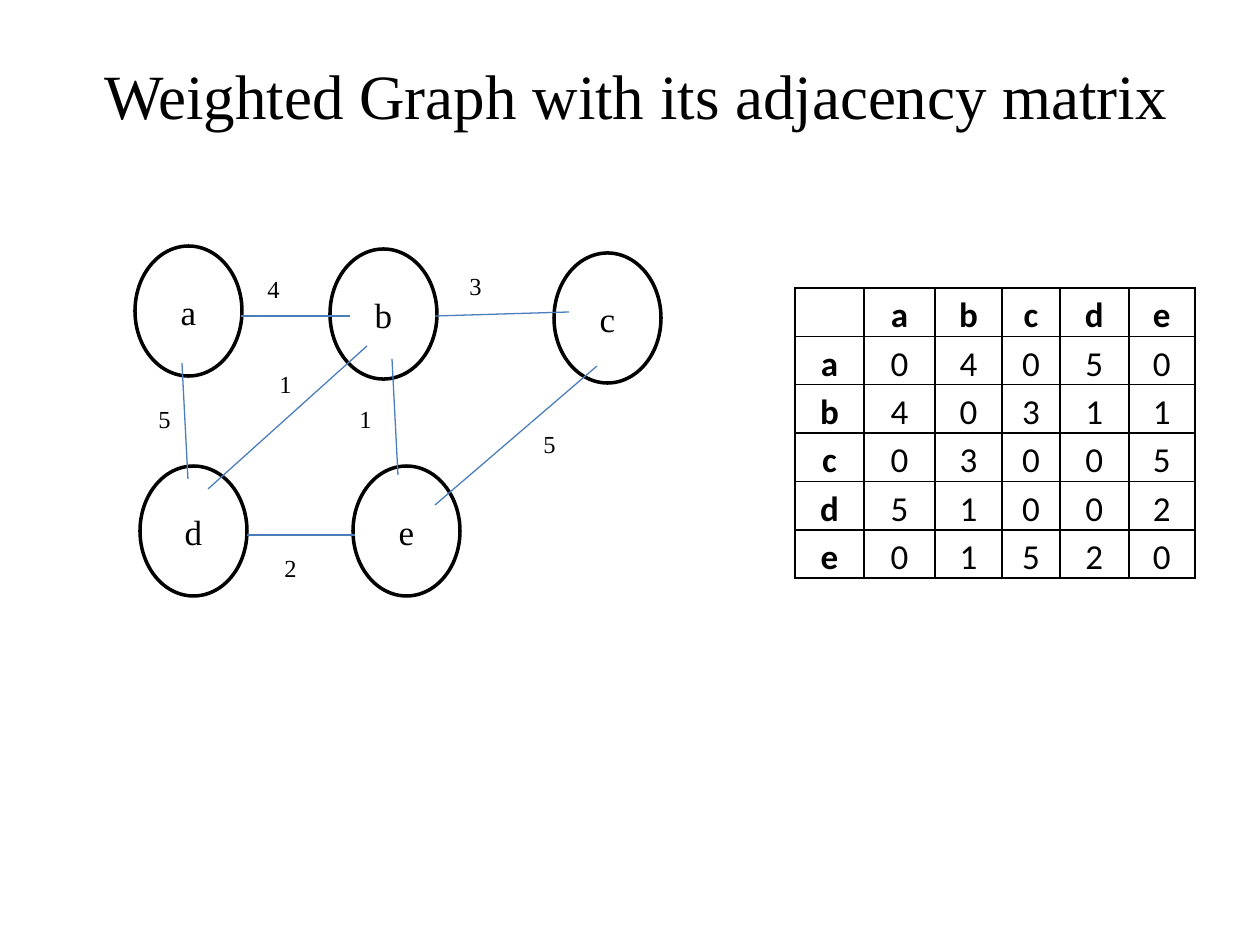
from lxml import etree
from pptx import Presentation, util as u
from pptx.dml.color import RGBColor
from pptx.enum import shapes, text
from pptx.oxml.ns import qn

PX = 914400 / 126
COLORS = {"ink": "000000", "edge": "4B7EBC", "paper": "FFFFFF"}
SERIF, SANS = "Times New Roman", "Calibri"
NODE_WIDTH, NODE_HEIGHT = 107, 130

# Left and top of each node
NODES = {"a": (135, 246), "b": (330, 249), "c": (554, 253), "d": (140, 466), "e": (353, 466)}

# Ends, weight, line (x1, y1, x2, y2), label box, label filled
EDGES = [
    ("a", "b", 4, (241, 316, 350, 316), (255, 268, 50, 37), True),
    ("d", "e", 2, (247, 535, 355, 535), (272, 547, 50, 34), True),
    ("b", "c", 3, (435, 316, 569, 312), (457, 265, 47, 45), True),
    ("a", "d", 5, (182, 363, 188, 479), (146, 398, 78, 79), False),
    ("b", "e", 1, (392, 359, 398, 475), (347, 398, 47, 62), False),
    ("b", "d", 1, (367, 346, 208, 489), (267, 363, 64, 69), False),
    ("c", "e", 5, (597, 366, 435, 505), (531, 423, 67, 48), True),
]


def px(*lengths):
    return [u.Emu(round(length * PX)) for length in lengths]


def color(name):
    return RGBColor.from_string(COLORS[name])


def write(frame, words, size, font=SERIF, align=text.PP_ALIGN.CENTER, bold=False):
    para = frame.paragraphs[0]
    para.text = words
    para.alignment = align
    para.font.size = u.Pt(size)
    para.font.name = font
    para.font.bold = bold
    para.font.color.rgb = color("ink")
    return para


def add_title(page, words):
    box = page.shapes.add_textbox(*px(53, 50, 1166, 89))
    box.text_frame.word_wrap = True
    write(box.text_frame, words, 36)


def add_node(page, name, left, top):
    node = page.shapes.add_shape(
        shapes.MSO_SHAPE.FLOWCHART_CONNECTOR, *px(left, top, NODE_WIDTH, NODE_HEIGHT))
    node.shadow.inherit = False
    node.fill.background()
    node.line.color.rgb = color("ink")
    node.line.width = u.Pt(2)
    node.text_frame.vertical_anchor = text.MSO_ANCHOR.MIDDLE
    write(node.text_frame, name, 20)


def add_edge(page, ends):
    edge = page.shapes.add_connector(shapes.MSO_CONNECTOR.STRAIGHT, *px(*ends))
    edge.line.color.rgb = color("edge")
    edge.line.width = u.Pt(0.75)
    etree.SubElement(edge._element.spPr, qn("a:effectLst"))


def add_weight(page, weight, place, filled):
    box = page.shapes.add_textbox(*px(*place))
    box.text_frame.word_wrap = True
    if filled:
        box.fill.solid()
        box.fill.fore_color.rgb = color("paper")
    write(box.text_frame, str(weight), 14, align=text.PP_ALIGN.LEFT)


def add_borders(cell):
    properties = cell._tc.get_or_add_tcPr()
    for index, side in enumerate(("lnL", "lnR", "lnT", "lnB")):
        line = etree.Element(qn(f"a:{side}"), w=str(u.Pt(1)))
        fill = etree.SubElement(line, qn("a:solidFill"))
        etree.SubElement(fill, qn("a:srgbClr"), val=COLORS["ink"])
        properties.insert(index, line)


def adjacency_rows():
    """Header row and one row per node, worked out from the edges."""
    weights = {}
    for start, end, weight, *_ in EDGES:
        weights[start, end] = weights[end, start] = weight
    return [["", *NODES]] + [
        [row, *(weights.get((row, column), 0) for column in NODES)] for row in NODES]


def add_matrix(page, rows):
    widths = [69, 71, 67, 58, 69, 66]
    row_height = 42
    table = page.shapes.add_table(
        len(rows), len(widths), *px(795, 288, sum(widths), row_height * len(rows))).table
    table.first_row = table.horz_banding = False
    for column, width in zip(table.columns, px(*widths)):
        column.width = width
    for r, row in enumerate(rows):
        table.rows[r].height = px(row_height)[0]
        for c, value in enumerate(row):
            cell = table.cell(r, c)
            cell.fill.background()
            cell.margin_left, cell.margin_right = px(9, 9)
            cell.margin_top = cell.margin_bottom = 0
            para = write(cell.text_frame, str(value), 20, SANS, bold=r == 0 or c == 0)
            para.line_spacing = 1.15
            add_borders(cell)


def main():
    deck = Presentation()
    deck.slide_width, deck.slide_height = px(1260, 945)
    page = deck.slides.add_slide(deck.slide_layouts[6])
    for name, (left, top) in NODES.items():
        add_node(page, name, left, top)
    for _, _, _, ends, _, _ in EDGES:
        add_edge(page, ends)
    for _, _, weight, _, place, filled in EDGES:
        add_weight(page, weight, place, filled)
    add_matrix(page, adjacency_rows())
    add_title(page, "Weighted Graph with its adjacency matrix")
    deck.save("out.pptx")


if __name__ == "__main__":
    main()
